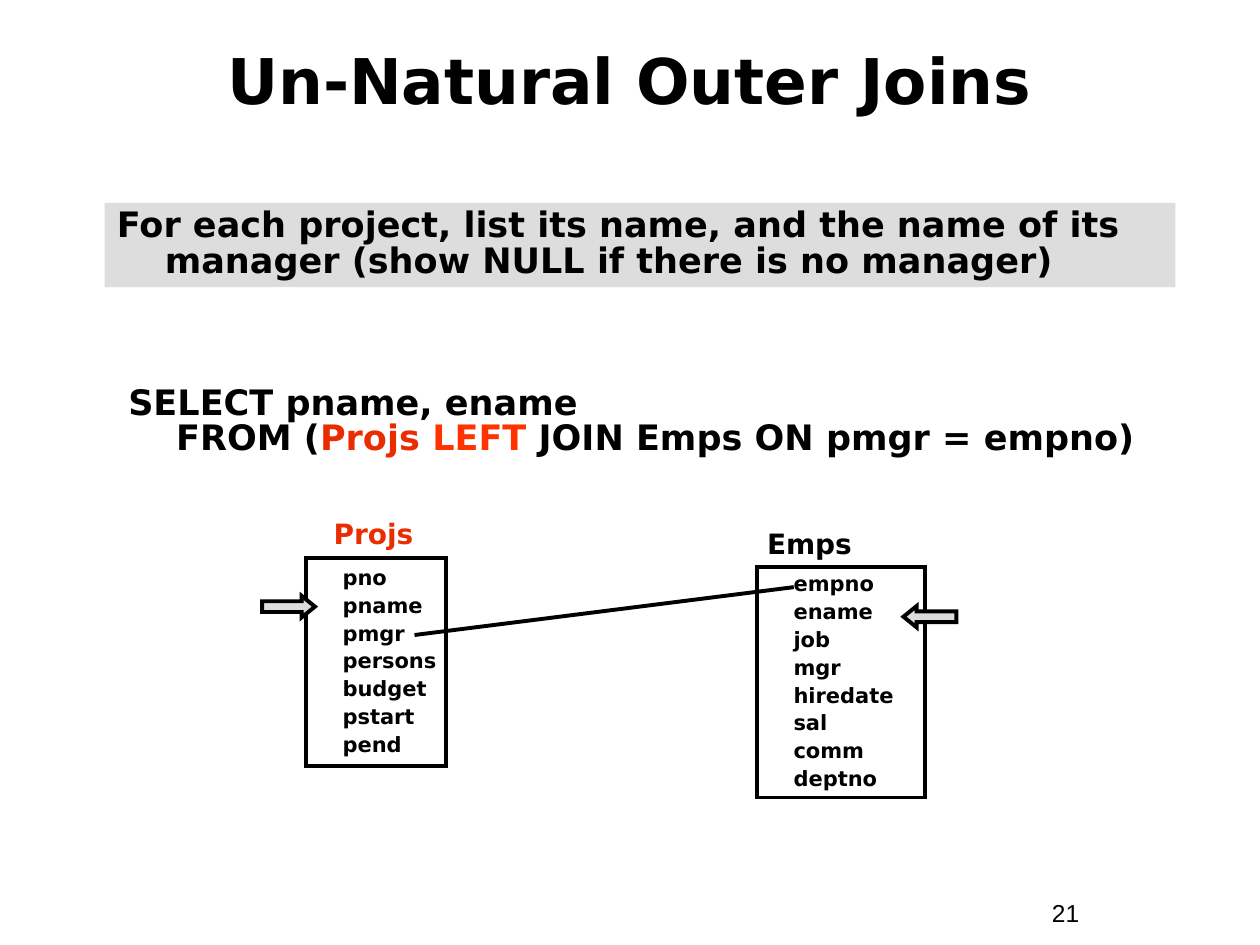
from lxml import etree
from pptx import Presentation
from pptx.dml.color import RGBColor
from pptx.enum.shapes import MSO_CONNECTOR as Connector, MSO_SHAPE as Shape
from pptx.enum.text import MSO_ANCHOR as Anchor, PP_ALIGN as Align
from pptx.oxml.ns import qn
from pptx.util import Inches, Pt

BLACK, RED, ORANGE, GREY = "000000", "EA2D00", "FF3300", "DDDDDD"
LINE_WIDTH = Pt(2.25)
LINE_BREAK = ("\n", BLACK)


def color(hex_code):
    return RGBColor.from_string(hex_code)


def write(box, lines, size, para_format=None, name="DejaVu Sans", bold=True, indent=None):
    """Fill a box; each line is a list of (text, colour) spans."""
    frame = box.text_frame
    frame.word_wrap = True
    for index, spans in enumerate(lines):
        para = frame.add_paragraph() if index else frame.paragraphs[0]
        formats = {"alignment": Align.LEFT, **(para_format or {})}
        if index == 0:
            formats.pop("space_before", None)
        for key, value in formats.items():
            setattr(para, key, value)
        if indent:
            properties = para._p.get_or_add_pPr()
            properties.set("marL", str(Inches(indent[0])))
            properties.set("indent", str(Inches(indent[1])))
        for text, hex_code in spans:
            if text == "\n":
                para.add_line_break()
                continue
            span = para.add_run()
            span.text = text
            for key, value in {"name": name, "size": Pt(size), "bold": bold}.items():
                setattr(span.font, key, value)
            span.font.color.rgb = color(hex_code)


deck = Presentation()
deck.slide_width, deck.slide_height = Inches(10), Inches(7.5)
page = deck.slides.add_slide(deck.slide_layouts[6])
shapes = page.shapes
outlined = []

# Slide number and title
number = shapes.add_textbox(Inches(8.25), Inches(7.08), Inches(0.92), Inches(0.34))
write(number, [[("21", BLACK)]], 14, name="Arial", bold=False)
title = shapes.add_textbox(Inches(0.33), Inches(0.17), Inches(9.33), Inches(0.92))
title.text_frame.vertical_anchor = Anchor.MIDDLE
write(title, [[("Un-Natural Outer Joins", BLACK)]], 36, {"alignment": Align.CENTER})

# Query and the question it answers, both with a hanging indent
query = shapes.add_textbox(Inches(0.92), Inches(3.02), Inches(8.5), Inches(0.67))
question = shapes.add_shape(Shape.RECTANGLE, Inches(0.83), Inches(1.61), Inches(8.5), Inches(0.67))
question.shadow.inherit = False
question.fill.solid()
question.fill.fore_color.rgb = color(GREY)
question.line.fill.background()
question.text_frame.vertical_anchor = Anchor.TOP
query_spans = [("SELECT pname, ename", BLACK), LINE_BREAK, ("FROM (", BLACK), ("Projs ", RED),
               ("LEFT", ORANGE), (" JOIN Emps ON pmgr = empno)", BLACK)]
question_spans = [("For each project, list its name, and the name of its manager "
                   "(show NULL if there is no manager)", BLACK)]
for box, spans in ((query, query_spans), (question, question_spans)):
    write(box, [spans], 20, {"line_spacing": 0.85}, indent=(0.38, -0.38))

# Tables: name, colour, label position, box position and size, fields
tables = [
    ("Emps", BLACK, (5.99, 4.16), (6.01, 4.5, 1.33, 1.83),
     ["empno", "ename", "job", "mgr", "hiredate", "sal", "comm", "deptno"]),
    ("Projs", RED, (2.55, 4.08), (2.43, 4.43, 1.11, 1.65),
     ["pno", "pname", "pmgr", "persons", "budget", "pstart", "pend"]),
]
for table_name, label_color, (left, top), place, fields in tables:
    label = shapes.add_textbox(Inches(left), Inches(top), Inches(1.36), Inches(0.34))
    write(label, [[(table_name, label_color)]], 16, {"line_spacing": 0.9})
    box = shapes.add_shape(Shape.RECTANGLE, *map(Inches, place))
    box.shadow.inherit = False
    box.fill.background()
    box.text_frame.margin_right = 0
    box.text_frame.vertical_anchor = Anchor.MIDDLE
    write(box, [[(field, BLACK)] for field in fields], 12,
          {"line_spacing": 0.9, "space_before": Pt(3)}, indent=(0.19, 0))
    outlined.append(box)

# Join line from empno to pmgr
join = shapes.add_connector(Connector.STRAIGHT, Inches(6.3), Inches(4.66), Inches(3.29), Inches(5.04))
etree.SubElement(join._element.spPr, qn("a:effectLst"))
outlined.append(join)

# Arrows at the selected fields
for kind, left, top in ((Shape.RIGHT_ARROW, 2.08, 4.73), (Shape.LEFT_ARROW, 7.17, 4.81)):
    arrow = shapes.add_shape(kind, Inches(left), Inches(top), Inches(0.42), Inches(0.17))
    arrow.shadow.inherit = False
    arrow.adjustments[1] = 0.62
    arrow.fill.solid()
    arrow.fill.fore_color.rgb = color(GREY)
    outlined.append(arrow)

# Black outlines with sharp corners
for shape in outlined:
    shape.line.color.rgb = color(BLACK)
    shape.line.width = LINE_WIDTH
    etree.SubElement(shape.line._get_or_add_ln(), qn("a:miter"), lim="800000")

deck.save("out.pptx")
